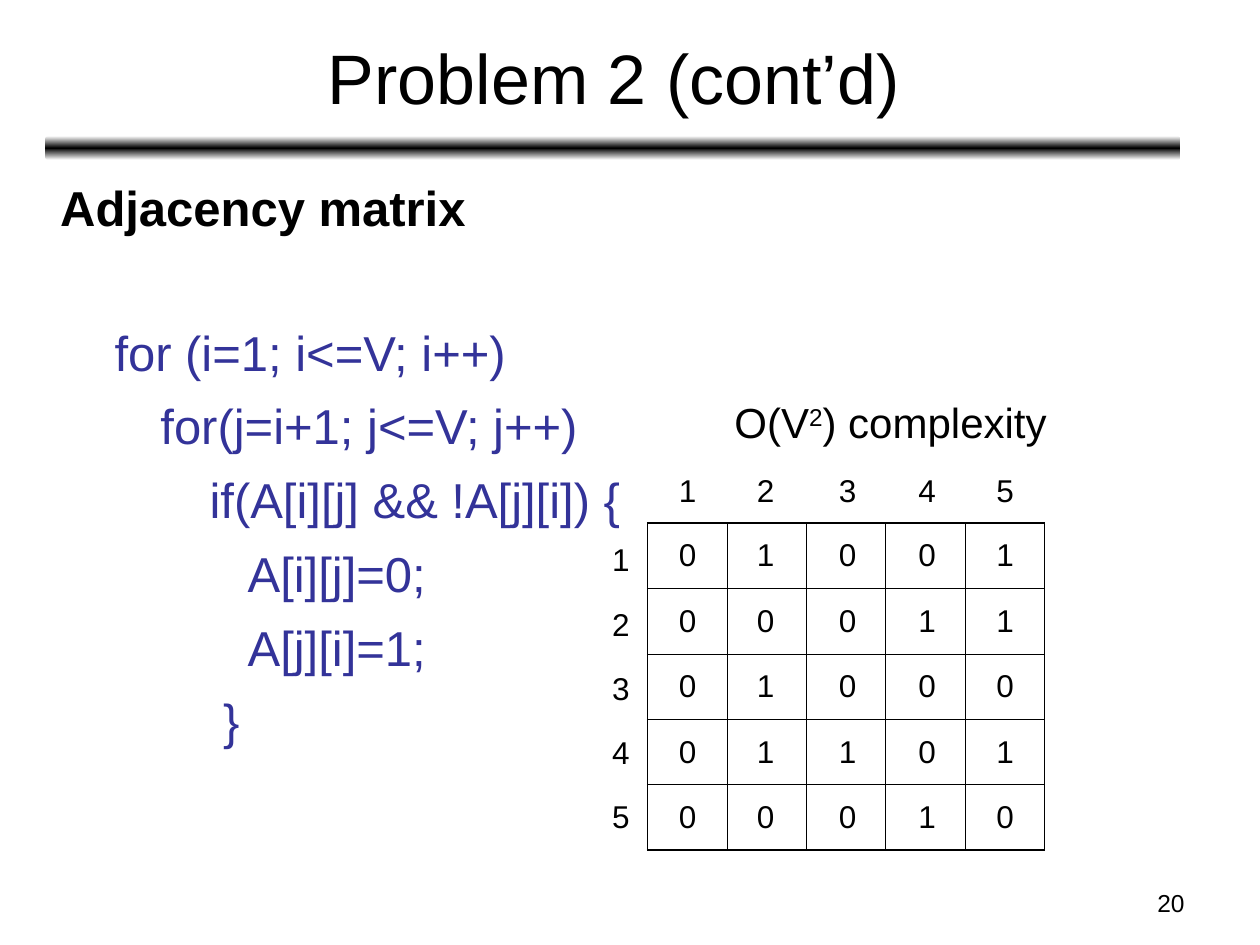
from lxml import etree
from pptx import Presentation
from pptx import util as u
from pptx.dml.color import RGBColor
from pptx.enum import shapes, text
from pptx.oxml import parse_xml
from pptx.oxml.ns import nsdecls, qn

BLACK = RGBColor(0x00, 0x00, 0x00)
CODE_BLUE = RGBColor(0x33, 0x33, 0x99)
FONT = "Arial"


def format_paragraph(paragraph, size, color=BLACK, bold=False, **settings):
    for name, value in settings.items():
        setattr(paragraph, name, value)
    values = {"name": FONT, "size": u.Pt(size), "bold": bold}
    for name, value in values.items():
        setattr(paragraph.font, name, value)
    paragraph.font.color.rgb = color


def add_text(left, top, width, height, content, size, wrap=True,
             anchor=text.MSO_ANCHOR.TOP, **settings):
    box = slide.shapes.add_textbox(u.Inches(left), u.Inches(top),
                                   u.Inches(width), u.Inches(height))
    box.text_frame.word_wrap = wrap
    box.text_frame.vertical_anchor = anchor
    paragraph = box.text_frame.paragraphs[0]
    paragraph.text = content
    format_paragraph(paragraph, size, **settings)
    return box.text_frame


presentation = Presentation()
presentation.slide_width = u.Inches(10)
presentation.slide_height = u.Inches(7.5)
slide = presentation.slides.add_slide(presentation.slide_layouts[6])

# Divider bar fading from black to white above and below
bar = slide.shapes.add_shape(
    shapes.MSO_SHAPE.ROUNDED_RECTANGLE,
    u.Inches(0.36), u.Inches(1.08), u.Inches(9.01), u.Inches(0.19))
bar.shadow.inherit = False
bar.line.fill.background()
bar.fill.gradient()
stops = "".join(
    f'<a:gs pos="{position}"><a:srgbClr val="{color}"/></a:gs>'
    for position, color in ((0, "FFFFFF"), (50000, "000000"), (100000, "FFFFFF")))
gradient = bar._element.spPr.find(qn("a:gradFill"))
gradient.replace(gradient.find(qn("a:gsLst")),
                 parse_xml(f'<a:gsLst {nsdecls("a")}>{stops}</a:gsLst>'))
bar.fill.gradient_angle = 270

# Title and slide number
add_text(0.37, 0.11, 9, 0.99, "Problem 2 (cont’d)", 40,
         anchor=text.MSO_ANCHOR.MIDDLE, alignment=text.PP_ALIGN.CENTER)
add_text(7.17, 7, 2.33, 0.35, "20", 14, alignment=text.PP_ALIGN.RIGHT)

# Heading and code
CODE = [
    "    for (i=1; i<=V; i++)",
    "\t  for(j=i+1; j<=V; j++)",
    "           if(A[i][j] && !A[j][i]) {",
    "              A[i][j]=0;",
    "              A[j][i]=1;",
    "            }",
]
body = add_text(0.38, 1.36, 9, 5.52, "Adjacency matrix", 28, bold=True)
for index, line in enumerate(CODE):
    paragraph = body.add_paragraph()
    paragraph.text = line
    format_paragraph(paragraph, 28, CODE_BLUE,
                     space_before=u.Pt(8.5 if index else 49))
for paragraph in body.paragraphs:
    properties = paragraph._p.get_or_add_pPr()
    properties.set("marL", str(u.Inches(0.58)))
    properties.set("indent", str(-u.Inches(0.58)))

# Complexity note with a raised exponent
note = add_text(5.73, 3.1, 2.68, 0.5, "O(V", 24, wrap=False).paragraphs[0]
exponent = note.add_run()
exponent.text = "2"
exponent.font._element.set("baseline", "30000")
note.add_run().text = ") complexity"

# Matrix grid, with a heavier outer border
MATRIX = ["01001", "00011", "01000", "01101", "00010"]
COUNT = len(MATRIX)
GRID_LEFT, GRID_TOP, CELL_WIDTH, CELL_HEIGHT = 5.14, 4.15, 0.63, 0.52
table = slide.shapes.add_table(
    COUNT, COUNT, u.Inches(GRID_LEFT), u.Inches(GRID_TOP),
    u.Inches(CELL_WIDTH * COUNT), u.Inches(CELL_HEIGHT * COUNT)).table
table.first_row = table.horz_banding = False
for row in range(COUNT):
    for column in range(COUNT):
        cell = table.cell(row, column)
        cell.fill.background()
        properties = cell._tc.get_or_add_tcPr()
        outer_sides = {"lnL": column == 0, "lnR": column == COUNT - 1,
                       "lnT": row == 0, "lnB": row == COUNT - 1}
        for index, (side, outer) in enumerate(outer_sides.items()):
            line = etree.Element(qn(f"a:{side}"), w=str(u.Pt(1.08 if outer else 0.45)))
            fill = etree.SubElement(line, qn("a:solidFill"))
            etree.SubElement(fill, qn("a:srgbClr"), val=str(BLACK))
            properties.insert(index, line)

# Matrix values and the row and column numbers
COLUMN_LEFTS = [5.29, 5.91, 6.56, 7.19, 7.81]
for row, values in enumerate(MATRIX):
    for left, value in zip(COLUMN_LEFTS, values):
        add_text(left, 4.2 + 0.52 * row, 0.34, 0.4, value, 18, wrap=False)
for index, left in enumerate(COLUMN_LEFTS):
    number = str(index + 1)
    add_text(left, 3.69, 0.34, 0.4, number, 18)
    add_text(4.76, 4.24 + 0.51 * index, 0.34, 0.4, number, 18)

presentation.save("out.pptx")
